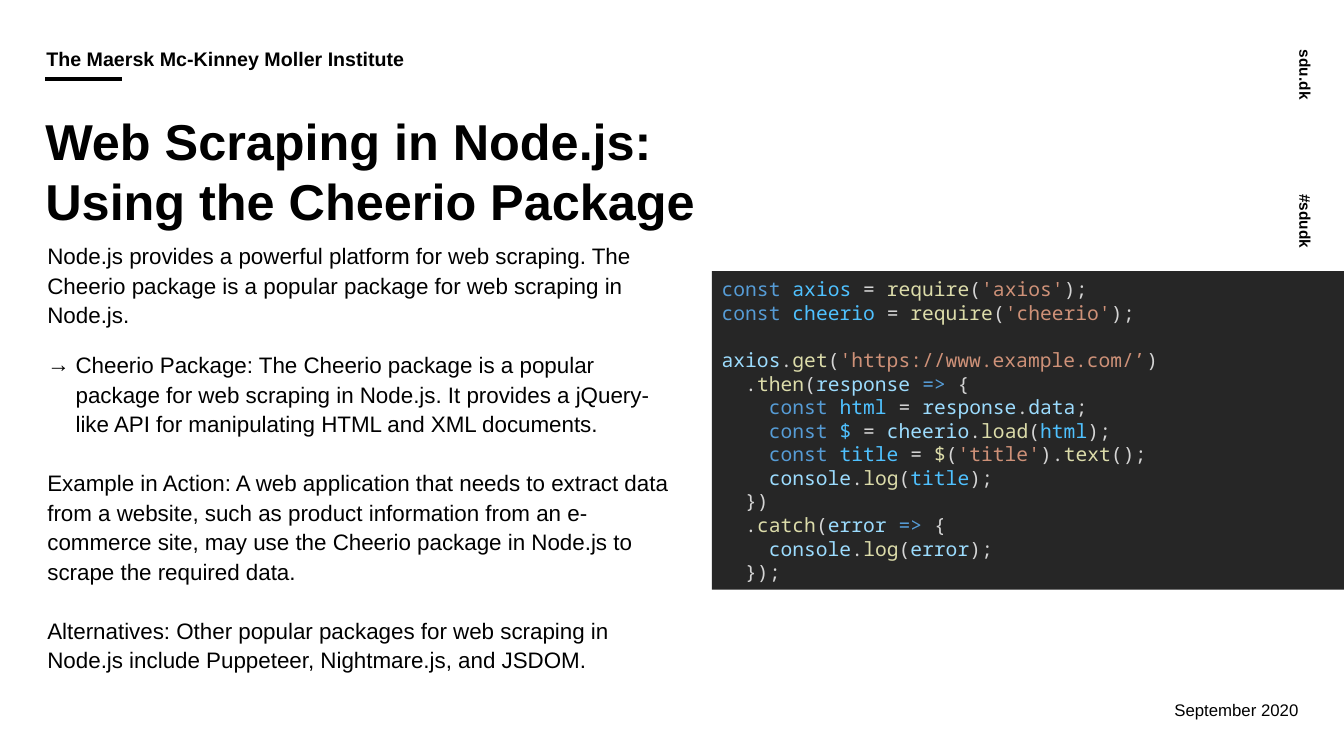
from dataclasses import dataclass

from lxml.etree import SubElement
from pptx import Presentation
from pptx.dml.color import RGBColor
from pptx.enum.shapes import MSO_CONNECTOR as CONN, MSO_SHAPE as SHAPE
from pptx.enum.text import MSO_ANCHOR as ANCHOR, MSO_AUTO_SIZE as AUTO, PP_ALIGN as ALIGN
from pptx.oxml.ns import qn
from pptx.util import Inches, Pt


@dataclass(frozen=True)
class Theme:
    font: str = "Arial"
    code_font: str = "Noto Sans Mono"
    ink: str = "000000"
    paper: str = "FFFFFF"
    code_fill: str = "262626"
    title: int = 36
    body: int = 16
    header: int = 14
    code: int = 14
    date: int = 12
    side: int = 11
    body_spacing: float = 1.1
    body_gap: int = 21
    code_gap: int = 17


THEME = Theme()

# Syntax colours: keyword, constant, function, variable, string, plain
KEY, CONST, FUNC, VAR, STR, PLAIN = (
    "569CD6", "4FC1FF", "DCDCAA", "9CDCFE", "CE9178", "D4D4D4")

INTRO = ("Node.js provides a powerful platform for web scraping. The Cheerio package "
         "is a popular package for web scraping in Node.js.")
DETAILS = [
    "Cheerio Package: The Cheerio package is a popular package for web scraping in "
    "Node.js. It provides a jQuery-like API for manipulating HTML and XML documents.",
    "Example in Action: A web application that needs to extract data from a website, "
    "such as product information from an e-commerce site, may use the Cheerio package "
    "in Node.js to scrape the required data.",
    "Alternatives: Other popular packages for web scraping in Node.js include "
    "Puppeteer, Nightmare.js, and JSDOM.",
]


def require_line(name):
    return [(KEY, "const "), (CONST, name), (PLAIN, " = "), (FUNC, "require"),
            (PLAIN, "("), (STR, f"'{name}'"), (PLAIN, ");")]


def handler_line(method, argument):
    return [(PLAIN, "  ."), (FUNC, method), (PLAIN, "("), (VAR, argument + " "),
            (KEY, "=>"), (PLAIN, " {")]


def const_line(name, *value):
    return [(KEY, "    const "), (CONST, name), (PLAIN, " = "), *value]


def log_line(colour, name):
    return [(VAR, "    console"), (PLAIN, "."), (FUNC, "log"), (PLAIN, "("),
            (colour, name), (PLAIN, ");")]


CODE_BLOCKS = [
    [require_line("axios"), require_line("cheerio")],
    [
        [(VAR, "axios"), (PLAIN, "."), (FUNC, "get"), (PLAIN, "("),
         (STR, "'https://www.example.com/’"), (PLAIN, ")")],
        handler_line("then", "response"),
        const_line("html", (VAR, "response"), (PLAIN, "."), (VAR, "data"), (PLAIN, ";")),
        const_line("$", (VAR, "cheerio"), (PLAIN, "."), (FUNC, "load"), (PLAIN, "("),
                   (CONST, "html"), (PLAIN, ");")),
        const_line("title", (FUNC, "$"), (PLAIN, "("), (STR, "'title'"), (PLAIN, ")."),
                   (FUNC, "text"), (PLAIN, "();")),
        log_line(CONST, "title"),
        [(PLAIN, "  })")],
        handler_line("catch", "error"),
        log_line(VAR, "error"),
        [(PLAIN, "  });")],
    ],
]


def add_run(p, text, size, colour=THEME.ink, bold=False, font=THEME.font):
    r = p.add_run()
    r.text = text
    r.font.name, r.font.size, r.font.bold = font, Pt(size), bold
    r.font.color.rgb = RGBColor.from_string(colour)


def set_frame(sp, anchor=ANCHOR.TOP, insets=(0, 0, 0, 0)):
    tf = sp.text_frame
    tf.word_wrap = True
    tf.vertical_anchor = anchor
    tf.margin_left, tf.margin_top, tf.margin_right, tf.margin_bottom = map(Inches, insets)
    return tf


def add_text(slide, box, text, size, bold=False, align=ALIGN.LEFT, spacing=None, **frame):
    sp = slide.shapes.add_textbox(*map(Inches, box))
    p = set_frame(sp, **frame).paragraphs[0]
    p.alignment, p.line_spacing = align, spacing
    for i, line in enumerate(text.split("\n")):
        if i:
            p.add_line_break()
        add_run(p, line, size, bold=bold)
    return sp


def add_panel(slide, box, fill):
    sp = slide.shapes.add_shape(SHAPE.RECTANGLE, *map(Inches, box))
    sp.shadow.inherit = False
    sp.fill.solid()
    sp.fill.fore_color.rgb = RGBColor.from_string(fill)
    sp.line.fill.background()
    return sp


def add_arrow_bullet(p, indent):
    pPr = p._p.get_or_add_pPr()
    pPr.set("marL", str(Inches(indent)))
    pPr.set("indent", str(-Inches(indent)))
    SubElement(pPr, qn("a:buFont")).set("typeface", THEME.font)
    SubElement(pPr, qn("a:buChar")).set("char", "→")


def header(slide, box):
    left, top, width, height = box
    sp = add_text(slide, box, "The Maersk Mc-Kinney Moller Institute", THEME.header,
                  bold=True, spacing=0.9, anchor=ANCHOR.BOTTOM, insets=(0.01, 0, 0, 0.1))
    sp.text_frame.auto_size = AUTO.SHAPE_TO_FIT_TEXT
    # Short rule under the institute name
    y = Inches(top + height - 0.02)
    rule = slide.shapes.add_connector(CONN.STRAIGHT, Inches(left), y, Inches(left + 0.76), y)
    rule.line.width = Pt(3)
    rule.line.color.rgb = RGBColor.from_string(THEME.ink)
    SubElement(rule._element.spPr, qn("a:effectLst"))


def side_labels(slide, box):
    left, top, width, height = box
    for i, label in enumerate(("sdu.dk", "#sdudk")):
        sp = add_text(slide, (left, top + i * 1.43, width, height), label, THEME.side,
                      bold=True, anchor=ANCHOR.BOTTOM)
        sp.rotation = 90


def body(slide, box):
    left, top, width, height = box
    intro_height = 1.08
    add_text(slide, (left, top, width, intro_height), INTRO, THEME.body,
             spacing=THEME.body_spacing)
    # Details under the introduction
    panel = add_panel(slide, (left, top + intro_height, width - 0.21, height - intro_height),
                      THEME.paper)
    tf = set_frame(panel)
    for i, text in enumerate(DETAILS):
        p = tf.add_paragraph() if i else tf.paragraphs[0]
        p.alignment, p.line_spacing = ALIGN.LEFT, THEME.body_spacing
        if i:
            p.space_before = Pt(THEME.body_gap)
        else:
            add_arrow_bullet(p, 0.28)
        add_run(p, text, THEME.body)


def code_panel(slide, box):
    tf = set_frame(add_panel(slide, box, THEME.code_fill), ANCHOR.MIDDLE,
                   (0.1, 0.05, 0.1, 0.05))
    tf.auto_size = AUTO.SHAPE_TO_FIT_TEXT
    for b, block in enumerate(CODE_BLOCKS):
        for i, line in enumerate(block):
            p = tf.add_paragraph() if b or i else tf.paragraphs[0]
            p.alignment = ALIGN.LEFT
            if b and not i:
                p.space_before = Pt(THEME.code_gap)
            for colour, text in line:
                add_run(p, text, THEME.code, colour, font=THEME.code_font)


def main():
    prs = Presentation()
    prs.slide_width, prs.slide_height = Inches(13.33), Inches(7.5)
    slide = prs.slides.add_slide(prs.slide_layouts[6])

    side_labels(slide, (12.56, 0.79, 1, 0.41))
    header(slide, (0.45, 0.49, 6.22, 0.31))
    add_text(slide, (10.01, 6.94, 2.87, 0.2), "September 2020", THEME.date, align=ALIGN.RIGHT)
    add_text(slide, (0.45, 1.09, 11.96, 1.29),
             "Web Scraping in Node.js:\nUsing the Cheerio Package", THEME.title, bold=True)
    body(slide, (0.47, 2.38, 6.41, 4.92))
    code_panel(slide, (7.06, 2.69, 6.27, 3.16))

    prs.save("out.pptx")


if __name__ == "__main__":
    main()
